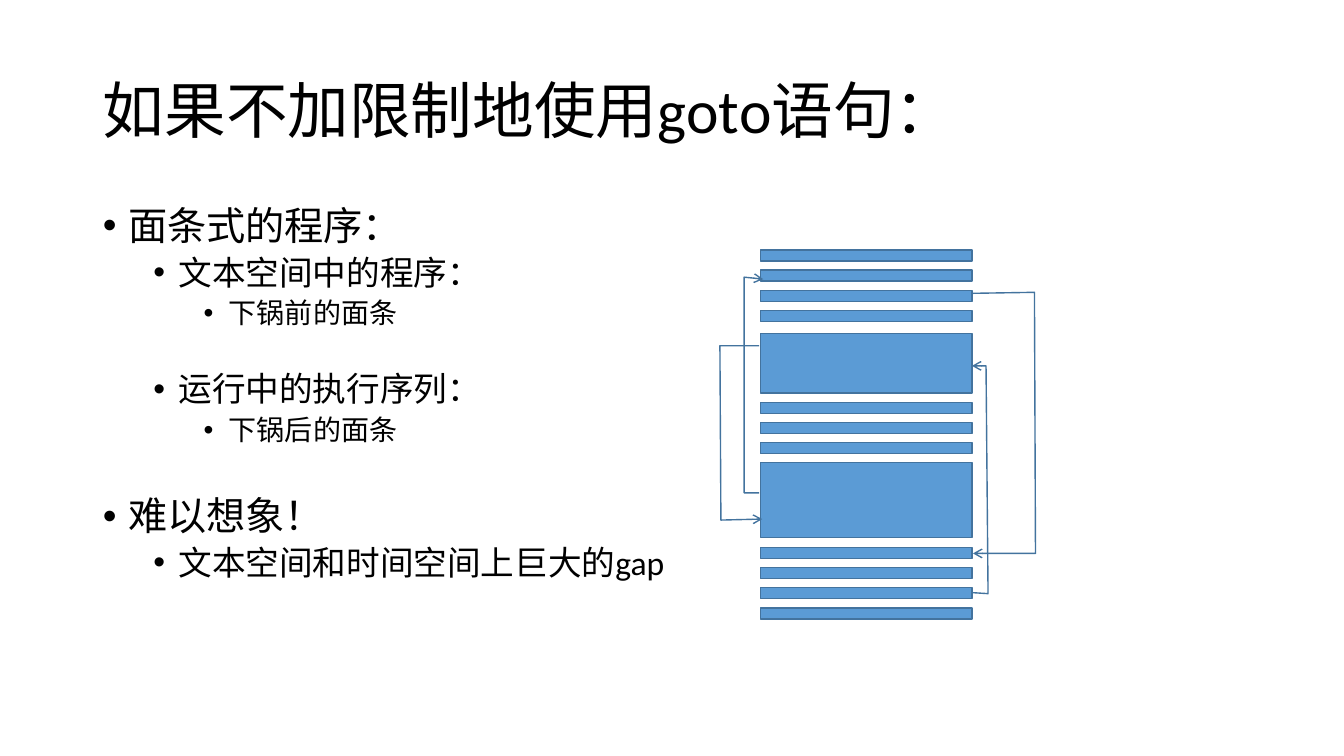
"""Build the slide on unrestricted goto and spaghetti programs."""
from dataclasses import dataclass

from lxml import etree
from pptx import Presentation
from pptx import util as u
from pptx.dml.color import RGBColor
from pptx.enum import shapes, text
from pptx.oxml.ns import qn

BLACK = RGBColor(0x00, 0x00, 0x00)
BLUE = RGBColor(0x5B, 0x9B, 0xD5)
DARK_BLUE = RGBColor(0x43, 0x73, 0x9E)
FONT = "Calibri"
BAR_LEFT, BAR_WIDTH, BAR_PITCH = 7.54, 2.1, 0.2
LEVEL_SIZES = (28, 24, 20)
LEVEL_SPACES = (10, 5, 5)
GROUP_GAP = 26


@dataclass
class Item:
    wording: str
    level: int
    starts_group: bool = False


@dataclass
class Band:
    top: float
    height: float = 0.11
    count: int = 1


ITEMS = (
    Item("面条式的程序：", 0),
    Item("文本空间中的程序：", 1),
    Item("下锅前的面条", 2),
    Item("运行中的执行序列：", 1, True),
    Item("下锅后的面条", 2),
    Item("难以想象！", 0, True),
    Item("文本空间和时间空间上巨大的gap", 1),
)
CODE_BANDS = (
    Band(2.48, count=4),
    Band(3.31, height=0.59),
    Band(3.99, count=3),
    Band(4.59, height=0.74),
    Band(5.43, count=4),
)
JUMPS = (
    ((9.65, 2.91), (10.26, 2.9), (10.27, 5.49), (9.65, 5.49)),
    ((7.53, 3.43), (7.14, 3.43), (7.15, 5.16), (7.56, 5.15)),
    ((9.64, 5.88), (9.8, 5.89), (9.78, 3.63), (9.64, 3.63)),
    ((7.53, 4.89), (7.38, 4.89), (7.38, 2.75), (7.57, 2.77)),
)


def place(box, left: float, top: float, width: float, height: float, anchor) -> None:
    """Move a placeholder and fix its text frame."""
    box.left, box.top = u.Inches(left), u.Inches(top)
    box.width, box.height = u.Inches(width), u.Inches(height)
    box.text_frame.vertical_anchor = anchor
    box.text_frame.auto_size = text.MSO_AUTO_SIZE.NONE
    box.text_frame.word_wrap = True


def write(para, wording: str, *, size: float, before: float = 0) -> None:
    """Put formatted text into a paragraph."""
    para.alignment = text.PP_ALIGN.LEFT
    para.line_spacing = 0.9
    para.space_before = u.Pt(before)
    span = para.add_run()
    span.text = wording
    span.font.name = FONT
    span.font.size = u.Pt(size)
    span.font.color.rgb = BLACK


def add_bullet(para, level: int) -> None:
    """Give a paragraph its level, hanging indent and round bullet."""
    para.level = level
    props = para._p.get_or_add_pPr()
    props.set("marL", str(u.Inches(0.25 + 0.5 * level)))
    props.set("indent", str(u.Inches(-0.25)))
    etree.SubElement(props, qn("a:buFont")).set("typeface", "Arial")
    etree.SubElement(props, qn("a:buChar")).set("char", "•")


def outline(shape) -> None:
    """Draw the thin dark line without a shadow."""
    shape.shadow.inherit = False
    shape.line.color.rgb = DARK_BLUE
    shape.line.width = u.Pt(1)


def draw_band(page, band: Band) -> None:
    """Draw evenly spaced code bars."""
    for index in range(band.count):
        bar = page.shapes.add_shape(
            shapes.MSO_SHAPE.RECTANGLE, u.Inches(BAR_LEFT),
            u.Inches(band.top + index * BAR_PITCH),
            u.Inches(BAR_WIDTH), u.Inches(band.height))
        bar.fill.solid()
        bar.fill.fore_color.rgb = BLUE
        outline(bar)


def draw_jump(page, points: tuple[tuple[float, float], ...]) -> None:
    """Draw a bent jump line ending in an open arrowhead."""
    start, *rest = [(u.Inches(x), u.Inches(y)) for x, y in points]
    builder = page.shapes.build_freeform(*start)
    builder.add_line_segments(rest, close=False)
    jump = builder.convert_to_shape()
    jump.fill.background()
    outline(jump)
    line = jump.element.spPr.get_or_add_ln()
    etree.SubElement(line, qn("a:tailEnd")).set("type", "arrow")


def main() -> None:
    """Assemble and save the slide."""
    deck = Presentation()
    deck.slide_width, deck.slide_height = u.Inches(13.33), u.Inches(7.5)
    page = deck.slides.add_slide(deck.slide_layouts[1])

    title, body = page.shapes.title, page.placeholders[1]
    place(title, 0.92, 0.4, 11.5, 1.45, text.MSO_ANCHOR.MIDDLE)
    write(title.text_frame.paragraphs[0], "如果不加限制地使用goto语句：", size=44)

    place(body, 0.92, 2, 11.5, 4.76, text.MSO_ANCHOR.TOP)
    for index, item in enumerate(ITEMS):
        frame = body.text_frame
        para = frame.add_paragraph() if index else frame.paragraphs[0]
        before = LEVEL_SPACES[item.level] + GROUP_GAP * item.starts_group
        write(para, item.wording, size=LEVEL_SIZES[item.level], before=before)
        add_bullet(para, item.level)

    for band in CODE_BANDS:
        draw_band(page, band)
    for points in JUMPS:
        draw_jump(page, points)
    deck.save("out.pptx")


main()
